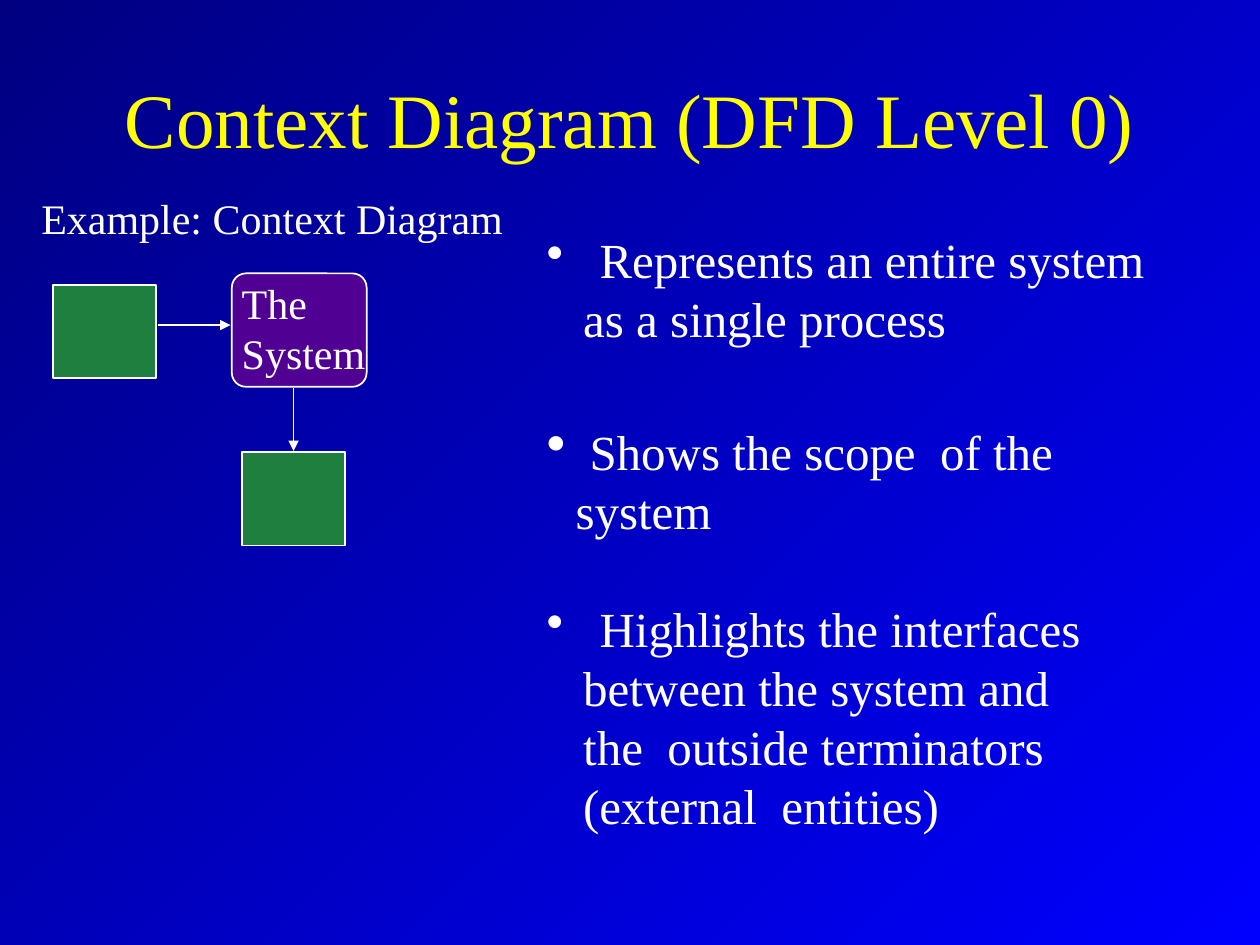
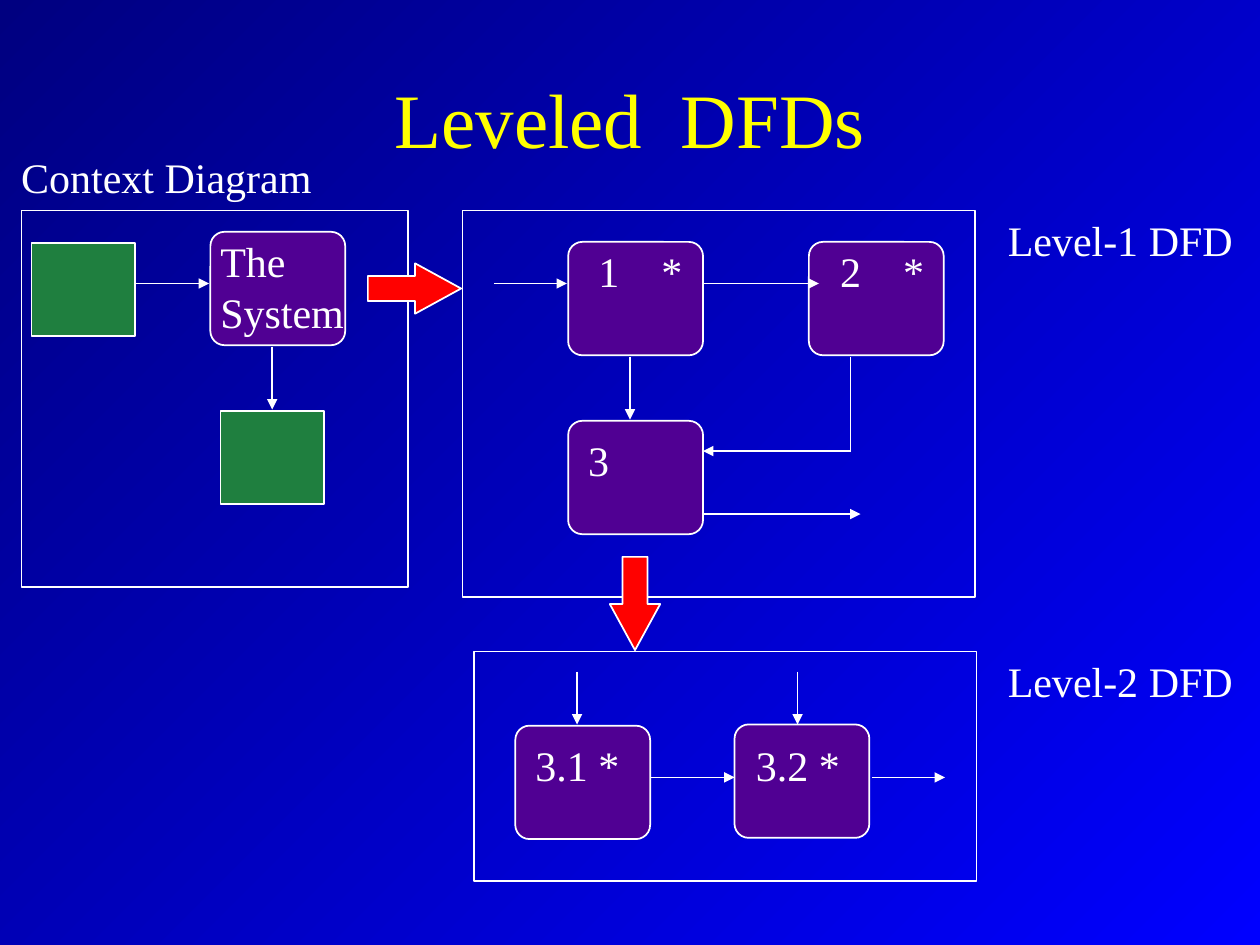
from dataclasses import dataclass
from typing import NamedTuple

from lxml import etree
from pptx import Presentation
from pptx import util as u
from pptx.dml import color as c
from pptx.enum import shapes, text
from pptx.oxml import ns

Kind = shapes.MSO_SHAPE


@dataclass(frozen=True)
class Theme:
    font: str = "Times New Roman"
    white: str = "FFFFFF"
    yellow: str = "FFFF00"
    green: str = "1F7F3F"
    purple: str = "500093"
    red: str = "FF0100"
    light: str = "0000FF"
    dark: str = "000080"
    head: int = 44
    body: int = 28
    label: int = 24
    line: int = 1
    lead: float = 1.205


class Box(NamedTuple):
    left: float
    top: float
    wide: float
    high: float


class Look(NamedTuple):
    kind: Kind
    fill: str | None = None
    bends: tuple[float, ...] = ()


class Wire(NamedTuple):
    x: float
    y: float
    dx: float
    dy: float
    tip: bool = True


class Row(NamedTuple):
    words: str
    inset: float = 0
    dot: int = 0
    gap: float = 0
    tab: float = 0


class Tag(NamedTuple):
    words: str
    left: float
    top: float
    tab: float = 0


T = Theme()
FRAME = Look(Kind.RECTANGLE)
ENTITY = Look(Kind.RECTANGLE, T.green)
PROCESS = Look(Kind.ROUNDED_RECTANGLE, T.purple, (0.125,))
RIGHT = Look(Kind.RIGHT_ARROW, T.red, (0.5, 0.914))
DOWN = Look(Kind.DOWN_ARROW, T.red, (0.5, 0.914))

POINTS = [
    Row("Represents an entire system", 0.42, 100),
    Row("as a single process", 0.29),
    Row("Shows the scope  of the", 0.34, 114, 42.2),
    Row("system", 0.23),
    Row("Highlights the interfaces", 0.42, 100, 33.6),
    Row("between the system and", 0.29),
    Row("the  outside terminators", 0.29),
    Row("(external  entities)", 0.29),
]

STEPS = [(4.51, 1.92), (6.42, 1.92), (4.51, 3.34), (4.09, 5.76), (5.83, 5.75)]

WIRES = [
    Wire(3.92, 2.25, 0.58, 0),
    Wire(5.58, 2.25, 0.92, 0),
    Wire(5, 2.83, 0, 0.5),
    Wire(6.75, 2.83, 0, 0.75, False),
    Wire(6.75, 3.58, -1.17, 0),
    Wire(5.58, 4.08, 1.25, 0),
    Wire(4.58, 5.33, 0, 0.42),
    Wire(6.33, 5.33, 0, 0.42),
    Wire(5.17, 6.17, 0.66, 0),
    Wire(6.92, 6.17, 0.58, 0),
]

TAGS = [
    Tag("Context Diagram", 0.07, 1.15),
    Tag("1\t*", 4.65, 1.9, 0.58),
    Tag("2\t*", 6.57, 1.9, 0.58),
    Tag("3", 4.57, 3.4),
    Tag("3.1\t*", 4.15, 5.82, 0.67),
    Tag("3.2\t*", 5.9, 5.82, 0.75),
    Tag("Level-1 DFD", 7.9, 1.65),
    Tag("Level-2 DFD", 7.9, 5.15),
]


def apply(item, **values) -> None:
    for name, value in values.items():
        setattr(item, name, value)


def rgb(code: str) -> c.RGBColor:
    return c.RGBColor.from_string(code)


def add(parent, tag: str, **values):
    return etree.SubElement(parent, ns.qn(tag), **values)


def write(slide, box: Box, rows: list[Row], size: int = T.label, ink: str = T.white,
          align=text.PP_ALIGN.LEFT, anchor=text.MSO_ANCHOR.TOP) -> None:
    frame = slide.shapes.add_textbox(*map(u.Inches, box)).text_frame
    apply(frame, word_wrap=True, vertical_anchor=anchor)
    for i, row in enumerate(rows):
        par = frame.add_paragraph() if i else frame.paragraphs[0]
        par.text = row.words
        apply(par, alignment=align, line_spacing=u.Pt(size * T.lead), space_before=u.Pt(row.gap))
        props = par._p.get_or_add_pPr()
        props.set("marL", str(u.Inches(row.inset)))
        props.set("indent", str(-u.Inches(row.inset) if row.dot else 0))
        if row.dot:
            add(props, "a:buSzPct", val=str(row.dot * 1000))
            add(props, "a:buChar", char="•")
        else:
            add(props, "a:buNone")
        if row.tab:
            add(add(props, "a:tabLst"), "a:tab", pos=str(u.Inches(row.tab)), algn="l")
        for run in par.runs:
            apply(run.font, name=T.font, size=u.Pt(size))
            run.font.color.rgb = rgb(ink)


def draw(slide, look: Look, box: Box) -> None:
    shape = slide.shapes.add_shape(look.kind, *map(u.Inches, box))
    shape.shadow.inherit = False
    for i, bend in enumerate(look.bends):
        shape.adjustments[i] = bend
    if look.fill:
        shape.fill.solid()
        shape.fill.fore_color.rgb = rgb(look.fill)
    else:
        shape.fill.background()
    shape.line.color.rgb = rgb(T.white)
    shape.line.width = u.Pt(T.line)


def link(slide, wire: Wire) -> None:
    ends = wire.x, wire.y, wire.x + wire.dx, wire.y + wire.dy
    line = slide.shapes.add_connector(shapes.MSO_CONNECTOR.STRAIGHT, *map(u.Inches, ends))
    line.line.color.rgb = rgb(T.white)
    line.line.width = u.Pt(T.line)
    if wire.tip:
        add(line.line._get_or_add_ln(), "a:tailEnd", type="triangle")
    add(line._element.spPr, "a:effectLst")


def begin(deck, title: str):
    slide = deck.slides.add_slide(deck.slide_layouts[6])
    fill = slide.background.fill
    fill.gradient()
    fill.gradient_angle = 135
    for stop, code in zip(fill.gradient_stops, (T.light, T.dark)):
        stop.color.rgb = rgb(code)
    write(slide, Box(0.75, 0.31, 8.5, 1.25), [Row(title)], T.head, T.yellow,
          text.PP_ALIGN.CENTER, text.MSO_ANCHOR.MIDDLE)
    return slide


def context(slide, x: float, y: float) -> None:
    draw(slide, PROCESS, Box(x + 1.42, y, 1.07, 0.9))
    for dx, dy in ((0, 0.09), (1.5, 1.42)):
        draw(slide, ENTITY, Box(x + dx, y + dy, 0.82, 0.74))
    link(slide, Wire(x + 0.83, y + 0.41, 0.58, 0))
    link(slide, Wire(x + 1.91, y + 0.91, 0, 0.5))
    write(slide, Box(x + 1.4, y - 0.02, 1.3, 0.9), [Row("The"), Row("System")])


def first(deck) -> None:
    slide = begin(deck, "Context Diagram (DFD Level 0)")
    context(slide, 0.42, 2.17)
    write(slide, Box(0.23, 1.48, 4, 0.5), [Row("Example: Context Diagram")])
    write(slide, Box(4.24, 1.77, 5.32, 4.43), POINTS, T.body)


def second(deck) -> None:
    slide = begin(deck, "Leveled  DFDs")
    draw(slide, FRAME, Box(0.17, 1.67, 3.07, 2.99))
    context(slide, 0.25, 1.84)
    draw(slide, RIGHT, Box(2.92, 2.09, 0.74, 0.4))
    draw(slide, FRAME, Box(3.67, 1.67, 4.07, 3.07))
    draw(slide, DOWN, Box(4.84, 4.42, 0.4, 0.74))
    draw(slide, FRAME, Box(3.76, 5.17, 3.99, 1.82))
    for left, top in STEPS:
        draw(slide, PROCESS, Box(left, top, 1.07, 0.9))
    for wire in WIRES:
        link(slide, wire)
    for tag in TAGS:
        wide = 1.2 if len(tag.words) < 6 else 2.1 if tag.left > 7 else 2.6
        write(slide, Box(tag.left, tag.top, wide, 0.5), [Row(tag.words, tab=tag.tab)])


def main() -> None:
    deck = Presentation()
    apply(deck, slide_width=u.Inches(10), slide_height=u.Inches(7.5))
    first(deck)
    second(deck)
    deck.save("out.pptx")


if __name__ == "__main__":
    main()
